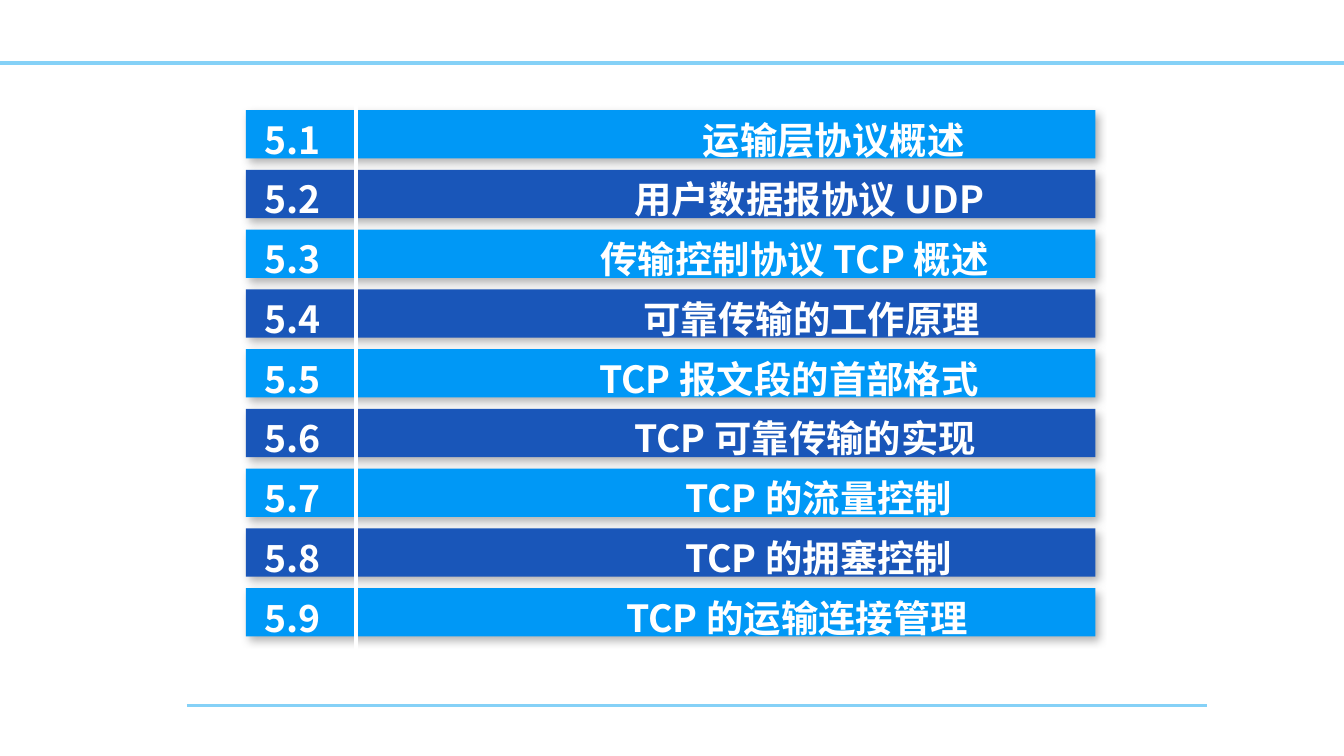
from lxml.etree import SubElement
from pptx import Presentation
from pptx.dml.color import RGBColor
from pptx.enum.shapes import MSO_CONNECTOR as Connector, MSO_SHAPE as Shape
from pptx.enum.text import MSO_ANCHOR as Anchor, MSO_AUTO_SIZE as AutoSize
from pptx.oxml.ns import qn
from pptx.util import Inches, Pt

WIDTH = 10
HEIGHT = WIDTH * 9 / 16
BAND_LEFT, BAND_TOP, BAND_WIDTH, BAND_HEIGHT = 1.83, 0.82, 6.32, 0.36
ROW_POINTS = 32
FONT = "Noto Sans CJK SC"
LIGHT_BLUE, DARK_BLUE, RULE_BLUE, WHITE = "0098F6", "1956B9", "85D1F7", "FFFFFF"
SECTIONS = [
    ("运输层协议概述", 3.26),
    ("用户数据报协议 UDP", 2.75),
    ("传输控制协议 TCP 概述", 2.5),
    ("可靠传输的工作原理", 2.82),
    ("TCP 报文段的首部格式", 2.49),
    ("TCP 可靠传输的实现", 2.75),
    ("TCP 的流量控制", 3.13),
    ("TCP 的拥塞控制", 3.13),
    ("TCP 的运输连接管理", 2.69),
]


def paint(color_format, hex_color):
    """Set a colour from a hex string."""
    color_format.rgb = RGBColor.from_string(hex_color)


def add_rule(slide, start, end, color, weight):
    """Draw a straight line without a shadow."""
    rule = slide.shapes.add_connector(
        Connector.STRAIGHT, *(Inches(length) for length in (*start, *end)))
    paint(rule.line.color, color)
    rule.line.width = Pt(weight)
    SubElement(rule._element.spPr, qn("a:effectLst"))


def cast_shadow(band):
    """Give a band a soft shadow towards the lower right."""
    band.shadow.inherit = False
    effects = band._element.spPr.find(qn("a:effectLst"))
    shadow = SubElement(effects, qn("a:outerShdw"), blurRad=str(Pt(4.5)),
                        dist=str(Pt(2.6)), dir=str(53 * 60000),
                        algn="tl", rotWithShape="0")
    black = SubElement(shadow, qn("a:srgbClr"), val="000000")
    SubElement(black, qn("a:alpha"), val="30000")


def add_band(slide, row):
    """Draw the coloured band behind one section row."""
    band = slide.shapes.add_shape(
        Shape.RECTANGLE, Inches(BAND_LEFT), Inches(BAND_TOP) + row * Pt(ROW_POINTS),
        Inches(BAND_WIDTH), Inches(BAND_HEIGHT))
    band.fill.solid()
    paint(band.fill.fore_color, DARK_BLUE if row % 2 else LIGHT_BLUE)
    band.line.fill.background()
    cast_shadow(band)


def write(paragraph, text, *, size, color, bold=False, spacing=None, tab=None):
    """Write formatted text into a paragraph, with an optional tab stop."""
    paragraph.line_spacing = spacing
    if tab is not None:
        stops = SubElement(paragraph._p.get_or_add_pPr(), qn("a:tabLst"))
        SubElement(stops, qn("a:tab"), pos=str(Inches(tab)), algn="l")
    run = paragraph.add_run()
    run.text = text
    run.font.name, run.font.size, run.font.bold = FONT, Pt(size), bold
    paint(run.font.color, color)
    SubElement(run._r.get_or_add_rPr(), qn("a:ea"), typeface=FONT)


def add_contents(slide):
    """Write the numbered section titles over the bands."""
    contents = slide.shapes.add_textbox(
        Inches(1.87), Inches(0.71), Inches(6.28), Inches(4.14)).text_frame
    contents.word_wrap = True
    contents.auto_size = AutoSize.SHAPE_TO_FIT_TEXT
    contents.vertical_anchor = Anchor.TOP
    for number, (title, indent) in enumerate(SECTIONS, 1):
        entry = contents.paragraphs[0] if number == 1 else contents.add_paragraph()
        write(entry, f"5.{number}\t{title}", size=20, color=WHITE, bold=True,
              spacing=Pt(ROW_POINTS), tab=indent)


def main():
    """Build the chapter contents slide."""
    deck = Presentation()
    deck.slide_width, deck.slide_height = Inches(WIDTH), Inches(HEIGHT)
    slide = deck.slides.add_slide(deck.slide_layouts[6])
    add_rule(slide, (1.39, 5.25), (8.98, 5.25), RULE_BLUE, 1.5)
    add_rule(slide, (0, 0.47), (WIDTH, 0.47), RULE_BLUE, 2)
    for row in range(len(SECTIONS)):
        add_band(slide, row)
    add_rule(slide, (2.65, 0.68), (2.65, 4.97), WHITE, 2.25)
    add_contents(slide)
    deck.save("out.pptx")


if __name__ == "__main__":
    main()
